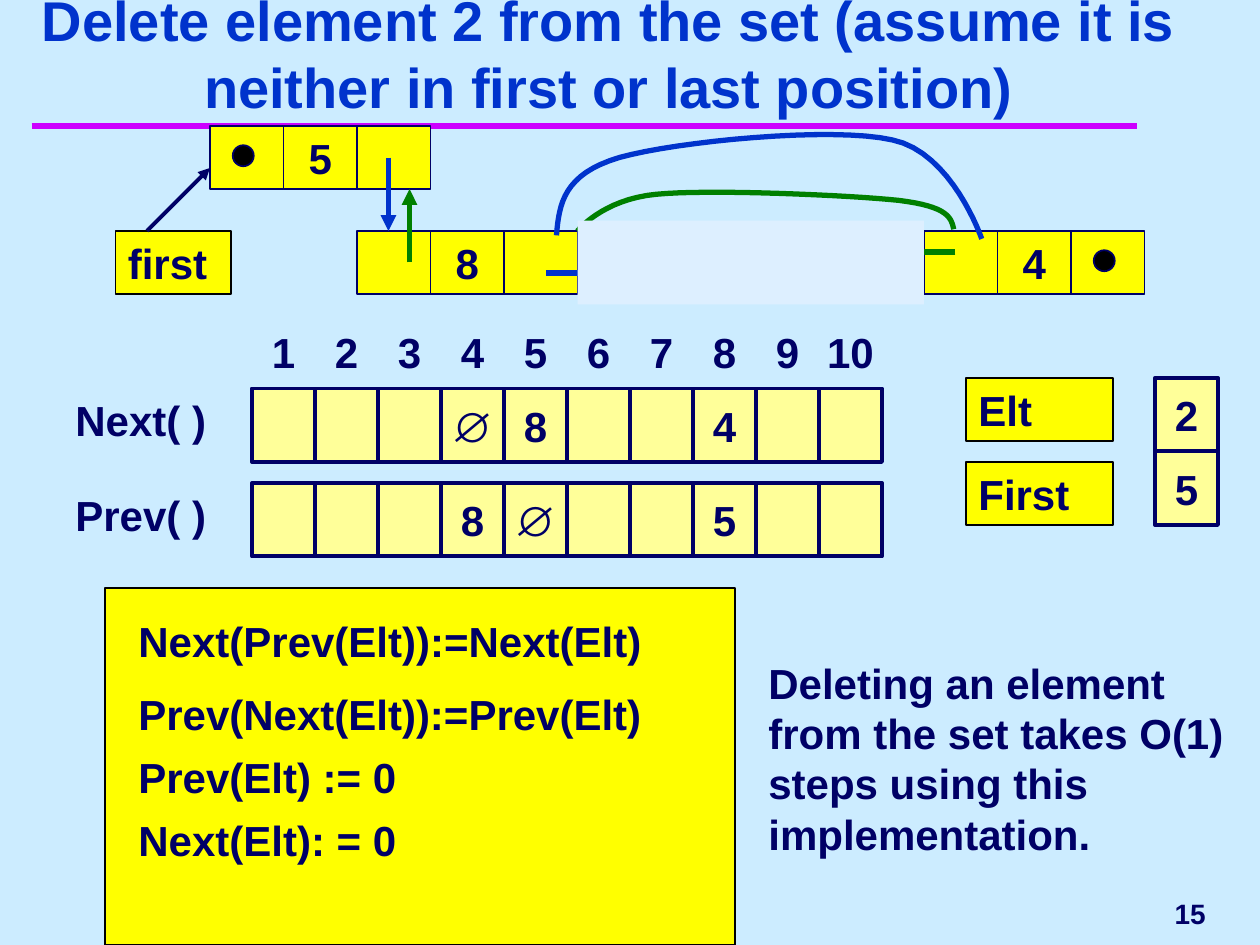
from lxml.etree import SubElement
from pptx import Presentation
from pptx.dml.color import RGBColor
from pptx.enum.shapes import MSO_CONNECTOR, MSO_SHAPE
from pptx.enum.text import MSO_ANCHOR, PP_ALIGN
from pptx.oxml.ns import qn
from pptx.util import Pt

THEME = {
    "background": "CCECFF", "title": "0033CC", "ink": "000066", "black": "000000",
    "rule": "CC00FF", "node": "FFFF00", "cell": "FFFF99", "removed": "DDEFFF",
    "next": "0033CC", "prev": "008000",
    "font": "Arial", "title_size": 32, "body_size": 24, "number_size": 16,
}

TITLE = "Delete element 2 from the set (assume it is neither in first or last position)"
CONCLUSION = "Deleting an element from the set takes O(1) steps using this implementation."
PAGE_NUMBER = "15"
DOT = "●"
NODES = [(120, 72, [DOT, "5", ""]), (204, 132, ["", "8", ""]), (528, 132, ["", "4", DOT])]
ARRAYS = [
    ("Next( )", 222, {4: "∅", 5: "8", 8: "4"}),
    ("Prev( )", 276, {4: "8", 5: "∅", 8: "5"}),
]
VARIABLES = [("Elt", "2"), ("First", "5")]
STATEMENTS = [
    (348, "Next(Prev(Elt)):=Next(Elt)"),
    (390, "Prev(Next(Elt)):=Prev(Elt)"),
    (426, "Prev(Elt) := 0"),
    (462, "Next(Elt): = 0"),
]
POINTERS = [
    ((84, 132), (120, 96), "ink", 2.25),
    ((234, 150), (234, 108), "prev", 3),
    ((222, 90), (222, 132), "next", 3),
    ((546, 144), (492, 144), "prev", 3),
    ((312, 156), (366, 156), "next", 3),
]
BYPASSES = [
    ("next", (318, 134.5), [
        ((319.5, 116.5), (322, 99.5), (354, 90)),
        ((386, 81), (475, 72), (510, 80)),
        ((544, 87), (561, 136.5), (561, 136.5)),
    ]),
    ("prev", (545, 131), [
        ((543.5, 124.5), (542, 118), (513.5, 114.5)),
        ((485, 111.5), (405.5, 108), (375, 111)),
        ((344, 114), (330, 132), (330, 132)),
    ]),
]

NODE_W, NODE_H = 42, 36
CELL_W, CELL_H = 36, 42
ARRAY_X, INDEX_Y, ARRAY_SIZE = 144, 180, 10
CURVE_STEPS = 16

prs = Presentation()
prs.slide_width, prs.slide_height = Pt(720), Pt(540)
slide = prs.slides.add_slide(prs.slide_layouts[6])


def color(name):
    return RGBColor.from_string(THEME[name])


slide.background.fill.solid()
slide.background.fill.fore_color.rgb = color("background")


def write(shape, text, align=PP_ALIGN.LEFT, anchor=MSO_ANCHOR.TOP,
          size="body_size", ink="ink"):
    frame = shape.text_frame
    frame.word_wrap = True
    frame.vertical_anchor = anchor
    paragraph = frame.paragraphs[0]
    paragraph.text = text
    paragraph.alignment = align
    font = paragraph.font
    font.name, font.size, font.bold = THEME["font"], Pt(THEME[size]), True
    font.color.rgb = color(ink)


def write_centred(shape, text):
    write(shape, text, PP_ALIGN.CENTER, MSO_ANCHOR.MIDDLE)
    shape.text_frame.margin_left = shape.text_frame.margin_right = 0


def text_box(x, y, w, h):
    return slide.shapes.add_textbox(Pt(x), Pt(y), Pt(w), Pt(h))


def block(x, y, w, h, fill, line=None, width=1, kind=MSO_SHAPE.RECTANGLE):
    shape = slide.shapes.add_shape(kind, Pt(x), Pt(y), Pt(w), Pt(h))
    shape.shadow.inherit = False
    shape.fill.solid()
    shape.fill.fore_color.rgb = color(fill)
    if line:
        shape.line.color.rgb = color(line)
        shape.line.width = Pt(width)
    else:
        shape.line.fill.background()
    return shape


def array_cell(x, y, value):
    cell = block(x, y, CELL_W, CELL_H, "cell", "ink", 2.25)
    if value:
        write_centred(cell, value)


def connect(start, end, ink, width, arrow=True):
    line = slide.shapes.add_connector(
        MSO_CONNECTOR.STRAIGHT, *(Pt(v) for v in (*start, *end)))
    line.line.color.rgb = color(ink)
    line.line.width = Pt(width)
    if arrow:
        SubElement(line._element.spPr.find(qn("a:ln")), qn("a:tailEnd"), type="triangle")
    SubElement(line._element.spPr, qn("a:effectLst"))


def bezier(start, c1, c2, end):
    for step in range(1, CURVE_STEPS + 1):
        t = step / CURVE_STEPS
        u = 1 - t
        yield tuple(
            Pt(u**3 * a + 3 * u * u * t * b + 3 * u * t * t * c + t**3 * d)
            for a, b, c, d in zip(start, c1, c2, end))


def curve(ink, start, segments):
    points, here = [], start
    for c1, c2, end in segments:
        points.extend(bezier(here, c1, c2, end))
        here = end
    builder = slide.shapes.build_freeform(Pt(start[0]), Pt(start[1]))
    builder.add_line_segments(points, close=False)
    shape = builder.convert_to_shape()
    shape.shadow.inherit = False
    shape.fill.background()
    shape.line.color.rgb = color(ink)
    shape.line.width = Pt(3)


connect((18, 72), (650, 72), "rule", 4, arrow=False)
write(text_box(0, 18, 696, 54), TITLE, PP_ALIGN.CENTER, MSO_ANCHOR.BOTTOM,
      size="title_size", ink="title")
write(text_box(558, 504, 138, 36), PAGE_NUMBER, PP_ALIGN.RIGHT, MSO_ANCHOR.MIDDLE,
      size="number_size")

write(block(66, 132, 66, 36, "node", "black"), "first")
for left, top, fields in NODES:
    for i, value in enumerate(fields):
        x = left + i * NODE_W
        field = block(x, top, NODE_W, NODE_H, "node", "ink")
        if value == DOT:
            block(x + 13, top + 11, 12, 12, "black", "ink", kind=MSO_SHAPE.OVAL)
        elif value:
            write_centred(field, value)

for pointer in POINTERS:
    connect(*pointer)
for bypass in BYPASSES:
    curve(*bypass)
block(330, 126, 198, 48, "removed")

for i in range(ARRAY_SIZE):
    write_centred(text_box(ARRAY_X + i * CELL_W, INDEX_Y, CELL_W, CELL_H), str(i + 1))
for label, top, values in ARRAYS:
    write(text_box(36, top, 132, 36), label)
    for i in range(ARRAY_SIZE):
        array_cell(ARRAY_X + i * CELL_W, top, values.get(i + 1))

for i, (label, value) in enumerate(VARIABLES):
    write(block(552, 216 + i * 48, 84, 36, "node", "black"), label)
    array_cell(660, 216 + i * CELL_H, value)

block(60, 336, 360, 204, "node", "black")
for top, statement in STATEMENTS:
    write(text_box(72, top, 306, 36), statement)
write(text_box(432, 372, 276, 122), CONCLUSION)

prs.save("out.pptx")
